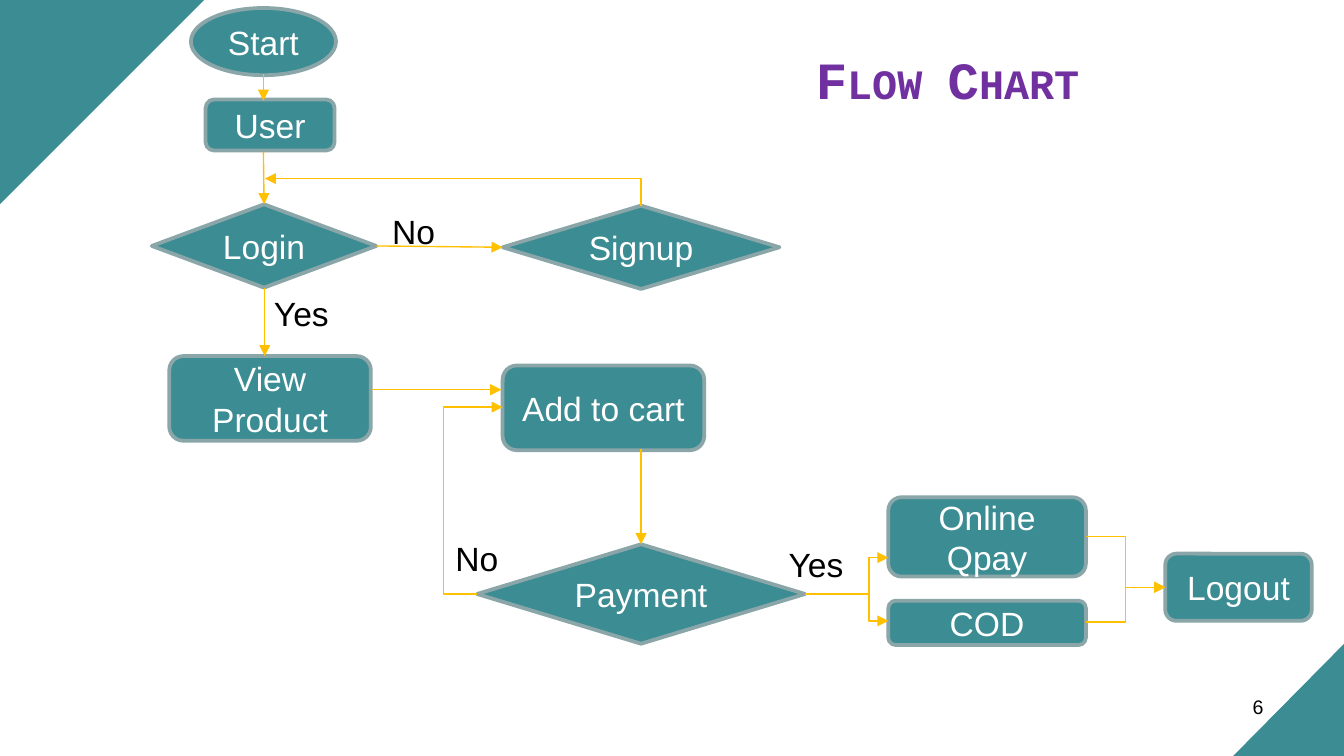
from pptx import Presentation
from pptx.dml.color import RGBColor
from pptx.enum.shapes import MSO_CONNECTOR, MSO_SHAPE
from pptx.enum.text import MSO_ANCHOR, PP_ALIGN
from pptx.oxml.ns import qn
from pptx.util import Inches, Pt
from lxml import etree

TEAL = RGBColor(0x3C, 0x8C, 0x93)
BORDER = RGBColor(0x8A, 0xA6, 0xA8)
AMBER = RGBColor(0xFF, 0xC0, 0x00)
PURPLE = RGBColor(0x70, 0x30, 0xA0)
WHITE = RGBColor(0xFF, 0xFF, 0xFF)
BLACK = RGBColor(0x00, 0x00, 0x00)

TRIANGLE = MSO_SHAPE.RIGHT_TRIANGLE
ELLIPSE = MSO_SHAPE.OVAL
ROUNDED = MSO_SHAPE.ROUNDED_RECTANGLE
PROCESS = MSO_SHAPE.FLOWCHART_ALTERNATE_PROCESS
DIAMOND = MSO_SHAPE.DIAMOND
DECISION = MSO_SHAPE.FLOWCHART_DECISION
STRAIGHT = MSO_CONNECTOR.STRAIGHT
ELBOW = MSO_CONNECTOR.ELBOW
TOP, LEFT, RIGHT = 0, 1, 3


def inches(values):
    return [Inches(value) for value in values]


def add_run(paragraph, text, size, color, font="Arial"):
    run = paragraph.add_run()
    run.text = text
    run.font.size = Pt(size)
    run.font.name = font
    run.font.color.rgb = color
    return run


def add_title(slide, text, box):
    title = slide.shapes.title
    title.left, title.top, title.width, title.height = inches(box)
    frame = title.text_frame
    frame.word_wrap = True
    frame.vertical_anchor = MSO_ANCHOR.MIDDLE
    paragraph = frame.paragraphs[0]
    paragraph.alignment = PP_ALIGN.LEFT
    run = add_run(paragraph, text, 28, PURPLE, "Courier New")
    run.font.bold = True
    run._r.get_or_add_rPr().set("cap", "small")


def add_filled(slide, kind, box):
    shape = slide.shapes.add_shape(kind, *inches(box))
    shape.shadow.inherit = False
    shape.fill.solid()
    shape.fill.fore_color.rgb = TEAL
    return shape


def add_corner(slide, box, rotation):
    corner = add_filled(slide, TRIANGLE, box)
    corner.line.fill.background()
    corner.rotation = rotation


def add_step(slide, kind, text, box):
    step = add_filled(slide, kind, box)
    step.line.color.rgb = BORDER
    step.line.width = Pt(2)
    frame = step.text_frame
    frame.word_wrap = True
    frame.vertical_anchor = MSO_ANCHOR.MIDDLE
    paragraph = frame.paragraphs[0]
    paragraph.alignment = PP_ALIGN.CENTER
    add_run(paragraph, text, 18, WHITE)
    return step


def add_label(slide, text, box, size=18, align=PP_ALIGN.LEFT):
    frame = slide.shapes.add_textbox(*inches(box)).text_frame
    frame.word_wrap = True
    paragraph = frame.paragraphs[0]
    paragraph.alignment = align
    add_run(paragraph, text, size, BLACK)


def add_flow(slide, kind, start, end, arrow=True):
    flow = slide.shapes.add_connector(kind, *inches(start + end))
    flow.line.color.rgb = AMBER
    flow.line.width = Pt(0.75)
    if arrow:
        etree.SubElement(flow.line._get_or_add_ln(), qn("a:tailEnd"), type="triangle")
    etree.SubElement(flow._element.spPr, qn("a:effectLst"))
    return flow


def add_elbow(slide, start, end, bend=0.5):
    """Leave sideways and turn at the given share of the horizontal distance."""
    elbow = add_flow(slide, ELBOW, start, end)
    guides = elbow._element.spPr.find(qn("a:prstGeom")).get_or_add_avLst()
    etree.SubElement(guides, qn("a:gd"), name="adj1", fmla=f"val {round(bend * 100000)}")


def add_up_and_left(slide, start, end):
    """Run up, then left: a one-bend connector turned by 270 degrees."""
    center_x, center_y = (start[0] + end[0]) / 2, (start[1] + end[1]) / 2
    half_run, half_rise = (start[0] - end[0]) / 2, (start[1] - end[1]) / 2
    flow = add_flow(slide, ELBOW,
                    (center_x - half_rise, center_y + half_run),
                    (center_x + half_rise, center_y - half_run))
    properties = flow._element.spPr
    properties.find(qn("a:xfrm")).set("rot", str(270 * 60000))
    properties.find(qn("a:prstGeom")).set("prst", "bentConnector2")


def main():
    prs = Presentation()
    prs.slide_width = Inches(10)
    prs.slide_height = prs.slide_width * 9 // 16
    slide = prs.slides.add_slide(prs.slide_layouts[5])

    add_title(slide, "Flow Chart", (5.97, 0.3, 2.61, 0.57))
    add_corner(slide, (0, -0.02, 1.54, 1.54), 90)
    add_corner(slide, (9.17, 4.77, 0.86, 0.85), 270)
    add_label(slide, "6", (7.17, 5.12, 2.33, 0.39), 10.5, PP_ALIGN.RIGHT)

    steps = {
        text: add_step(slide, kind, text, box)
        for text, kind, box in [
            ("Start", ELLIPSE, (1.42, 0.06, 1.08, 0.5)),
            ("User", PROCESS, (1.53, 0.74, 0.96, 0.38)),
            ("Login", DIAMOND, (1.13, 1.52, 1.67, 0.62)),
            ("Signup", DECISION, (3.74, 1.53, 2.06, 0.62)),
            ("View Product", ROUNDED, (1.26, 2.65, 1.5, 0.63)),
            ("Add to cart", ROUNDED, (3.74, 2.72, 1.5, 0.63)),
            ("Payment", DIAMOND, (3.55, 4.05, 2.44, 0.74)),
            ("Online Qpay", ROUNDED, (6.61, 3.7, 1.47, 0.59)),
            ("COD", ROUNDED, (6.61, 4.47, 1.47, 0.33)),
            ("Logout", ROUNDED, (8.67, 4.12, 1.09, 0.5)),
        ]
    }

    add_flow(slide, STRAIGHT, (1.96, 0.55), (1.96, 0.75))
    user_to_login = add_flow(slide, STRAIGHT, (1.96, 1.13), (1.97, 1.52))
    user_to_login.end_connect(steps["Login"], TOP)
    login_to_signup = add_flow(slide, STRAIGHT, (2.81, 1.83), (3.73, 1.83))
    login_to_signup.begin_connect(steps["Login"], RIGHT)
    login_to_signup.end_connect(steps["Signup"], LEFT)
    add_up_and_left(slide, (4.77, 1.53), (1.97, 1.33))
    add_flow(slide, STRAIGHT, (1.97, 2.14), (1.97, 2.65))
    add_flow(slide, STRAIGHT, (2.77, 2.9), (3.73, 2.9))
    cart_to_payment = add_flow(slide, STRAIGHT, (4.77, 3.34), (4.77, 4.05))
    cart_to_payment.end_connect(steps["Payment"], TOP)
    add_elbow(slide, (3.55, 4.42), (3.74, 3.03), -1.31)

    fork = (6.32, 4.42)
    payment_to_fork = add_flow(slide, STRAIGHT, (5.99, 4.42), fork, arrow=False)
    payment_to_fork.begin_connect(steps["Payment"], RIGHT)
    for method_y in (4.15, 4.62):
        add_elbow(slide, fork, (6.61, method_y))
    for method_y in (3.99, 4.63):
        add_elbow(slide, (8.08, method_y), (8.67, 4.37))

    for answer, box in [
        ("No", (2.82, 1.52, 0.84, 0.4)),
        ("Yes", (1.94, 2.13, 0.82, 0.4)),
        ("No", (3.29, 3.95, 0.87, 0.4)),
        ("Yes", (5.77, 4, 0.7, 0.4)),
    ]:
        add_label(slide, answer, box)

    prs.save("out.pptx")


if __name__ == "__main__":
    main()
